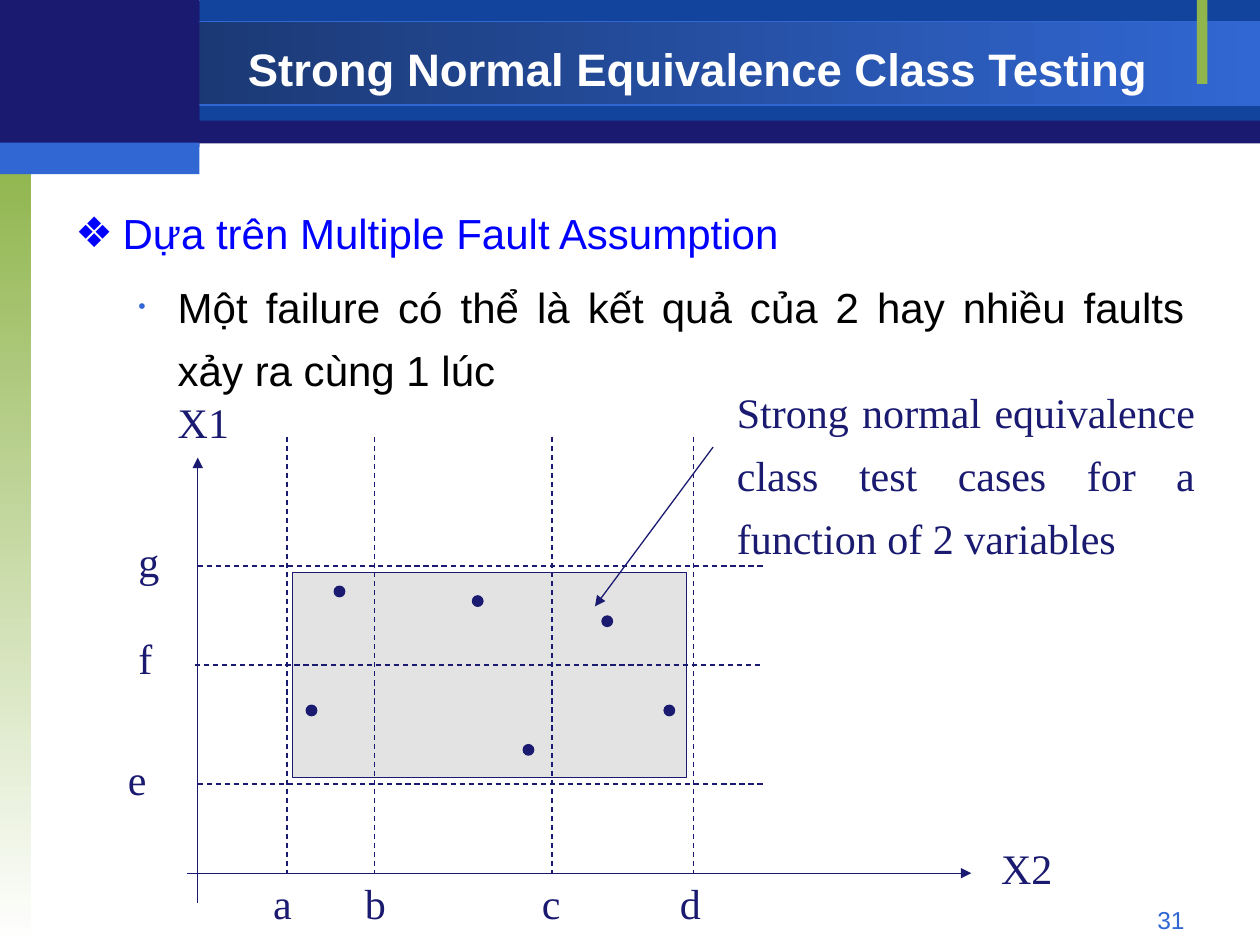
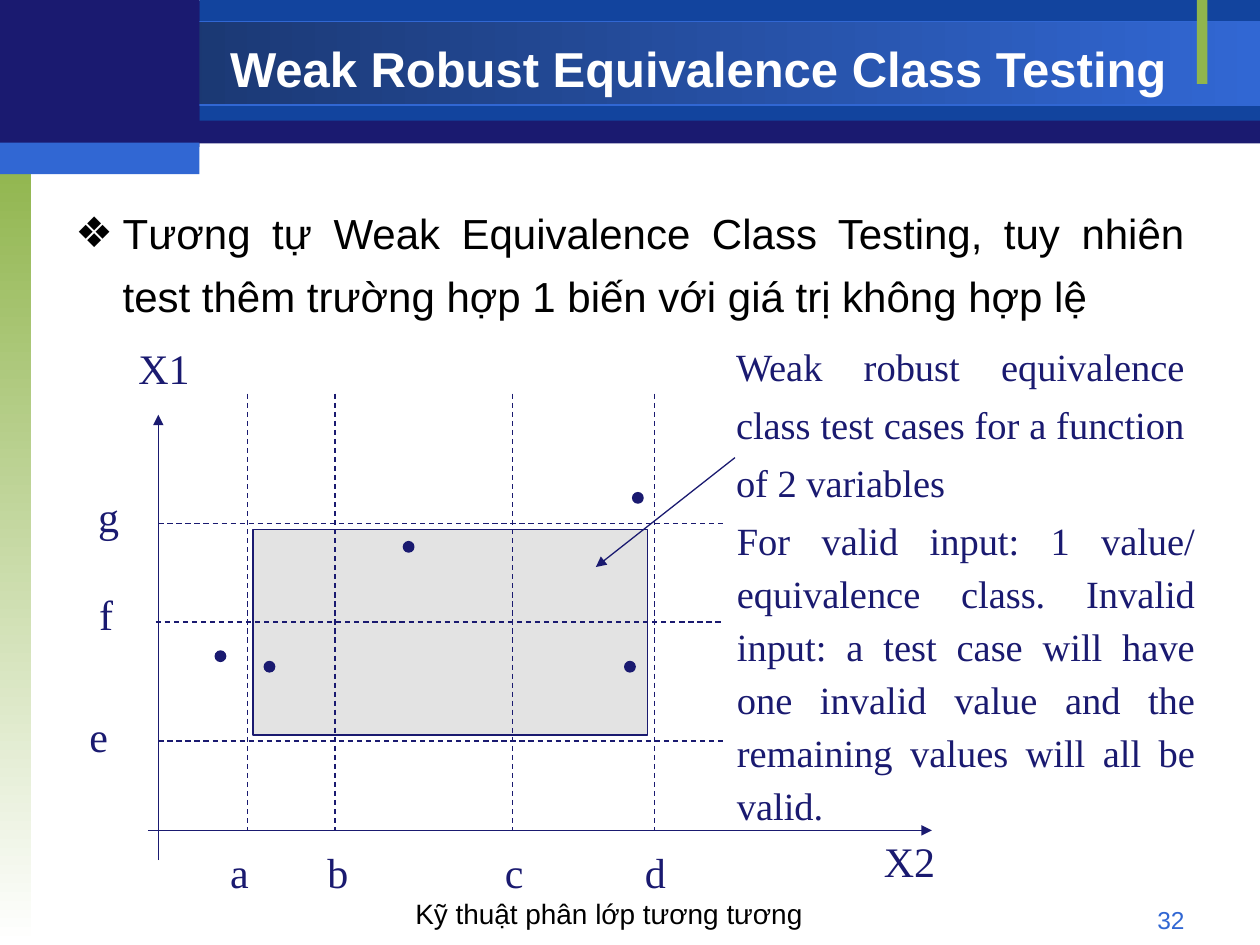
from dataclasses import dataclass

from lxml.etree import SubElement
from pptx import Presentation
from pptx.dml.color import RGBColor
from pptx.enum.dml import MSO_LINE
from pptx.enum.shapes import MSO_CONNECTOR, MSO_SHAPE
from pptx.enum.text import MSO_ANCHOR, MSO_AUTO_SIZE, PP_ALIGN
from pptx.oxml.ns import qn
from pptx.presentation import Presentation as Deck
from pptx.shapes.autoshape import Shape
from pptx.slide import Slide
from pptx.text.text import _Paragraph as Paragraph
from pptx.util import Pt

NAVY = RGBColor(0x1A, 0x1A, 0x70)
DEEP_BLUE = RGBColor(0x12, 0x44, 0x9E)
DARK_BLUE = RGBColor(0x17, 0x30, 0x62)
BRIGHT_BLUE = RGBColor(0x31, 0x67, 0xD3)
PURE_BLUE = RGBColor(0x00, 0x00, 0xFF)
GREEN = RGBColor(0x90, 0xB5, 0x4D)
GRAY = RGBColor(0xC0, 0xC0, 0xC0)
WHITE = RGBColor(0xFF, 0xFF, 0xFF)
BLACK = RGBColor(0x00, 0x00, 0x00)
SANS = "Arial"
SERIF = "Times New Roman"

COLUMN_LINES = (51, 101, 202.5, 283.5)
ROW_LINES = ((0, 51), (-1.5, 119), (0, 175.5))
COLUMN_LINE_HEIGHT = 249.5
ROW_LINE_WIDTH = 323
DOT_SIZE = 6
LABEL_WIDTHS = {"f": 22.3, "X1": 44, "X2": 44}

Point = tuple[float, float]
Frame = tuple[float, float, float, float]


@dataclass(frozen=True)
class Band:
    frame: Frame
    color: RGBColor
    end_color: RGBColor | None = None
    angle: float = 0
    outline: RGBColor | None = None


@dataclass(frozen=True)
class Bullet:
    text: str
    color: RGBColor
    char: str
    char_color: RGBColor
    margin: float
    hanging: float
    char_percent: int = 100


@dataclass(frozen=True)
class Note:
    text: str
    frame: Frame
    size: float
    spacing: float


@dataclass(frozen=True)
class Diagram:
    origin: Point
    labels: dict[str, Point]
    dots: tuple[Point, ...]
    pointer: tuple[Point, Point]


@dataclass(frozen=True)
class Topic:
    title: str
    title_size: float
    number: str
    bullets: tuple[Bullet, ...]
    diagram: Diagram
    notes: tuple[Note, ...]
    footer: str = ""


BANDS = (
    Band((0, 0.5, 720, 81.5), NAVY),
    Band((114, 0, 606, 69), DEEP_BLUE),
    Band((0, 12.5, 720, 47.5), DARK_BLUE, BRIGHT_BLUE, 0, BRIGHT_BLUE),
    Band((0, 90, 18, 450), GREEN, WHITE, 270),
    Band((684, 0, 6, 48), GREEN),
    Band((0, 0, 114, 84), NAVY),
    Band((0, 81.5, 114, 18), BRIGHT_BLUE),
)

TOPICS = (
    Topic(
        "Strong Normal Equivalence Class Testing", 26, "31",
        (
            Bullet("Dựa trên Multiple Fault Assumption",
                   PURE_BLUE, "❖", PURE_BLUE, 27, 27),
            Bullet("Một failure có thể là kết quả của 2 hay nhiều faults xảy ra cùng 1 lúc",
                   BLACK, "•", BRIGHT_BLUE, 58.5, 22.5, 50),
        ),
        Diagram(
            (113, 499),
            {"X2": (565, 478), "X1": (94.5, 223),
             "e": (66, 427), "f": (72, 358), "g": (72, 302.5),
             "a": (149, 498), "b": (201.5, 498), "c": (302.5, 498), "d": (381.5, 498)},
            ((270, 340.5), (379.5, 403), (175, 403),
             (191, 335), (344, 352), (299, 425.5)),
            ((407.5, 255.5), (340, 346.5)),
        ),
        (Note("Strong normal equivalence class test cases for a function of 2 variables",
              (414, 210, 276, 111), 24, 1.25),),
    ),
    Topic(
        "Weak Robust Equivalence Class Testing", 28, "32",
        (
            Bullet("Tương tự Weak Equivalence Class Testing, tuy nhiên test thêm "
                   "trường hợp 1 biến với giá trị không hợp lệ",
                   BLACK, "❖", BLACK, 27, 27),
        ),
        Diagram(
            (90.5, 474.5),
            {"X2": (498, 474), "X1": (72, 192),
             "e": (44, 402.5), "f": (49.5, 332.5), "g": (49, 277),
             "a": (124.5, 480), "b": (180, 480), "c": (281.5, 480), "d": (361.5, 480)},
            ((230.5, 309.5), (357, 378), (151, 378), (123, 372), (361.5, 281.5)),
            ((420, 261.5), (340.5, 324)),
        ),
        (
            Note("Weak robust equivalence class test cases for a function of 2 variables",
                 (413.5, 186, 270.5, 102), 22, 1.25),
            Note("For valid input: 1 value/ equivalence class. Invalid input: a test case "
                 "will have one invalid value and the remaining values will all be valid.",
                 (414, 288, 276, 181.5), 22, 1.15),
        ),
        "Kỹ thuật phân lớp tương tương",
    ),
)


def add_span(para: Paragraph, text: str, *, size: float, font: str,
             color: RGBColor, bold: bool = False) -> None:
    span = para.add_run()
    span.text = text
    span.font.size = Pt(size)
    span.font.name = font
    span.font.color.rgb = color
    span.font.bold = bold


def add_text(page: Slide, text: str, frame: Frame, *, size: float = 24,
             font: str = SERIF, color: RGBColor = NAVY, bold: bool = False,
             align: PP_ALIGN = PP_ALIGN.LEFT, anchor: MSO_ANCHOR = MSO_ANCHOR.TOP,
             spacing: float = 1.0, wrap: bool = True, grow: bool = False) -> None:
    box = page.shapes.add_textbox(*map(Pt, frame))
    box.text_frame.word_wrap = wrap
    box.text_frame.vertical_anchor = anchor
    box.text_frame.auto_size = MSO_AUTO_SIZE.SHAPE_TO_FIT_TEXT if grow else MSO_AUTO_SIZE.NONE
    para = box.text_frame.paragraphs[0]
    para.alignment = align
    para.line_spacing = spacing
    add_span(para, text, size=size, font=font, color=color, bold=bold)


def add_bullets(page: Slide, bullets: tuple[Bullet, ...]) -> None:
    box = page.shapes.add_textbox(Pt(36), Pt(108), Pt(648), Pt(396))
    box.text_frame.word_wrap = True
    for index, bullet in enumerate(bullets):
        para = box.text_frame.add_paragraph() if index else box.text_frame.paragraphs[0]
        properties = para._p.get_or_add_pPr()
        properties.set("marL", str(Pt(bullet.margin)))
        properties.set("indent", str(-Pt(bullet.hanging)))
        char_color = SubElement(properties, qn("a:buClr"))
        SubElement(char_color, qn("a:srgbClr"), val=str(bullet.char_color))
        SubElement(properties, qn("a:buSzPct"), val=str(bullet.char_percent * 1000))
        SubElement(properties, qn("a:buFont"), typeface=SANS)
        SubElement(properties, qn("a:buChar"), char=bullet.char)
        para.level = index
        para.alignment = PP_ALIGN.JUSTIFY
        para.line_spacing = 1.25
        if index:
            para.space_before = Pt(6)
        add_span(para, bullet.text, size=24, font=SANS, color=bullet.color)


def add_block(page: Slide, kind: MSO_SHAPE, frame: Frame, color: RGBColor,
              outline: RGBColor | None = None) -> Shape:
    block = page.shapes.add_shape(kind, *map(Pt, frame))
    block.shadow.inherit = False
    block.fill.solid()
    block.fill.fore_color.rgb = color
    if outline is None:
        block.line.fill.background()
    else:
        block.line.color.rgb = outline
        block.line.width = Pt(0.75)
    return block


def add_band(page: Slide, band: Band) -> None:
    block = add_block(page, MSO_SHAPE.RECTANGLE, band.frame, band.color, band.outline)
    if band.end_color is not None:
        block.fill.gradient()
        block.fill.gradient_angle = band.angle
        for stop, color in zip(block.fill.gradient_stops, (band.color, band.end_color)):
            stop.color.rgb = color


def add_line(page: Slide, start: Point, end: Point, *, dashed: bool = False,
             arrow: bool = False) -> None:
    line = page.shapes.add_connector(MSO_CONNECTOR.STRAIGHT, *map(Pt, start + end))
    line.line.color.rgb = NAVY
    line.line.width = Pt(0.75)
    if dashed:
        line.line.dash_style = MSO_LINE.DASH
    properties = line.element.spPr
    if arrow:
        SubElement(properties.find(qn("a:ln")), qn("a:tailEnd"), type="triangle")
    SubElement(properties, qn("a:effectLst"))


def add_diagram(page: Slide, diagram: Diagram) -> None:
    left, base = diagram.origin
    region = add_block(page, MSO_SHAPE.RECTANGLE,
                       (left + 54, base - 172, 225.5, 117.5), GRAY, NAVY)
    fill_color = region.element.spPr.find(qn("a:solidFill")).find(qn("a:srgbClr"))
    SubElement(fill_color, qn("a:alpha"), val="44000")
    add_line(page, (left, base + 17), (left, base - 237.5), arrow=True)
    add_line(page, (left - 6, base), (left + 442, base), arrow=True)
    for x in COLUMN_LINES:
        add_line(page, (left + x, base - COLUMN_LINE_HEIGHT), (left + x, base), dashed=True)
    for x, y in ROW_LINES:
        add_line(page, (left + x, base - y), (left + x + ROW_LINE_WIDTH, base - y), dashed=True)
    for dot in diagram.dots:
        add_block(page, MSO_SHAPE.OVAL, dot + (DOT_SIZE, DOT_SIZE), NAVY, NAVY)
    for label, place in diagram.labels.items():
        frame = place + (LABEL_WIDTHS.get(label, 25.5), 36)
        add_text(page, label, frame, wrap=False, grow=True)
    add_line(page, *diagram.pointer, arrow=True)


def add_topic(deck: Deck, topic: Topic) -> None:
    page = deck.slides.add_slide(deck.slide_layouts[6])
    for band in BANDS:
        add_band(page, band)
    add_text(page, topic.number, (516, 513.5, 168, 19.5), size=14, font=SANS,
             color=BRIGHT_BLUE, align=PP_ALIGN.RIGHT)
    add_text(page, topic.title, (114, 18, 570, 42), size=topic.title_size, font=SANS,
             color=WHITE, bold=True, align=PP_ALIGN.CENTER, anchor=MSO_ANCHOR.MIDDLE)
    add_bullets(page, topic.bullets)
    add_diagram(page, topic.diagram)
    for note in topic.notes:
        add_text(page, note.text, note.frame, size=note.size, spacing=note.spacing,
                 align=PP_ALIGN.JUSTIFY, grow=True)
    if topic.footer:
        add_text(page, topic.footer, (150, 504, 396, 36), size=16, font=SANS,
                 color=BLACK, align=PP_ALIGN.CENTER, anchor=MSO_ANCHOR.MIDDLE)


def main() -> None:
    deck = Presentation()
    deck.slide_width = Pt(720)
    deck.slide_height = Pt(540)
    for topic in TOPICS:
        add_topic(deck, topic)
    deck.save("out.pptx")


if __name__ == "__main__":
    main()
